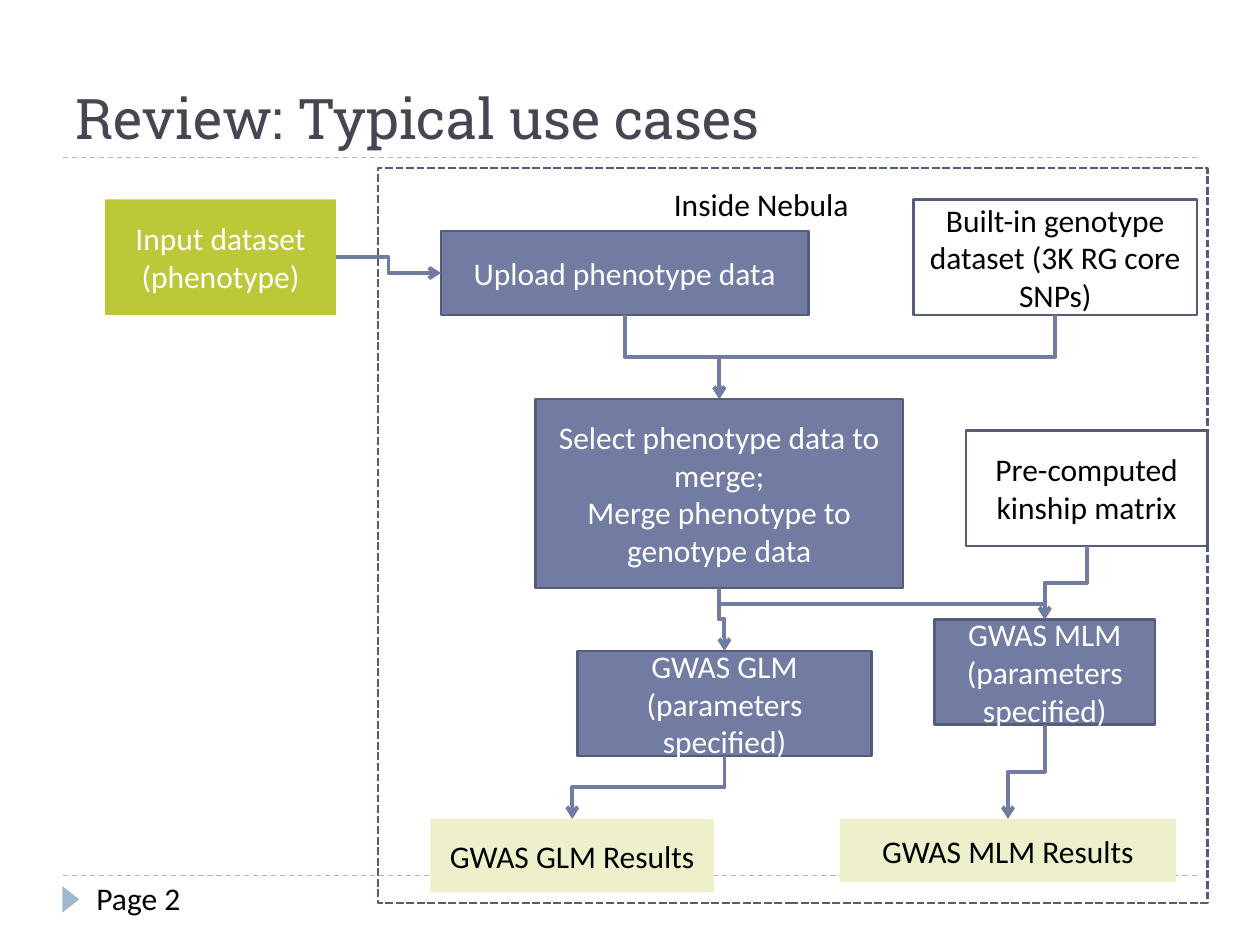
import pptx
import pptx.util
import pptx.dml.color
import pptx.enum.dml
import pptx.enum.shapes
import pptx.enum.text
import pptx.oxml
import pptx.oxml.ns

Pt = pptx.util.Pt
RGB = pptx.dml.color.RGBColor.from_string
SHAPE = pptx.enum.shapes.MSO_SHAPE
CONNECTOR = pptx.enum.shapes.MSO_CONNECTOR
ALIGN = pptx.enum.text.PP_ALIGN
ANCHOR = pptx.enum.text.MSO_ANCHOR
DASH = pptx.enum.dml.MSO_LINE

THEME = {
    "title": {"font": "Roboto Slab", "size": 32, "color": "464653"},
    "body": {"font": "Calibri", "size": 18},
    "rule": "9FB8CD", "edge": "545C79", "arrow": "727CA3",
    # box kind: fill, has an edge, text colour
    "input": ("BCC838", False, "FFFFFF"),
    "step": ("727CA3", True, "FFFFFF"),
    "data": ("FFFFFF", True, "000000"),
    "result": ("EDF0CA", False, "000000"),
}

deck = pptx.Presentation()
deck.slide_width, deck.slide_height = pptx.util.Inches(10), pptx.util.Inches(7.5)
page = deck.slides.add_slide(deck.slide_layouts[5])
# The page is a grid of 120 columns by 90 rows of square cells
CELL = deck.slide_width // 120


def write(frame, text, look, color, align, anchor):
    for name, value in {"word_wrap": True, "vertical_anchor": anchor}.items():
        setattr(frame, name, value)
    frame.text = text
    for para in frame.paragraphs:
        para.alignment = align
        for span in para.runs:
            for name, value in {"name": look["font"], "size": Pt(look["size"])}.items():
                setattr(span.font, name, value)
            span.font.color.rgb = RGB(color)


def add_line(kind, ends, color, width):
    line = page.shapes.add_connector(kind, *(round(CELL * end) for end in ends))
    line.line.color.rgb = RGB(color)
    line.line.width = Pt(width)
    line._element.spPr.append(pptx.oxml.parse_xml(
        "<a:effectLst %s/>" % pptx.oxml.ns.nsdecls("a")))
    return line


# Title
title = page.shapes.title
for name, value in {"left": 6, "top": 3, "width": 108, "height": 12}.items():
    setattr(title, name, value * CELL)
write(title.text_frame, "Review: Typical use cases", THEME["title"],
      THEME["title"]["color"], ALIGN.LEFT, ANCHOR.BOTTOM)

# Dashed rules and page marker
for row in (15, 83.4):
    rule = add_line(CONNECTOR.STRAIGHT, (6, row, 114, row), THEME["rule"], 0.75)
    rule.line.dash_style = DASH.DASH
marker = page.shapes.add_shape(SHAPE.ISOSCELES_TRIANGLE, *(
    round(CELL * length) for length in (5.5, 84.85, 2.5, 1.6)))
marker.rotation = 90
marker.shadow.inherit = False
marker.fill.solid()
marker.fill.fore_color.rgb = RGB(THEME["rule"])
marker.line.fill.background()

# Dashed frame around the platform
frame = page.shapes.add_shape(SHAPE.RECTANGLE, *(CELL * n for n in (36, 16, 79, 70)))
frame.shadow.inherit = False
frame.fill.background()
frame.line.color.rgb = RGB(THEME["edge"])
for name, value in {"width": Pt(1.5), "dash_style": DASH.SQUARE_DOT}.items():
    setattr(frame.line, name, value)

# Boxes: kind, text, column, row, columns wide, rows high
boxes = {}
for key, kind, text, *cells in (
    ("input", "input", "Input dataset (phenotype)", 10, 19, 22, 11),
    ("genotype", "data", "Built-in genotype dataset (3K RG core SNPs)", 87, 19, 27, 11),
    ("merge", "step", "Select phenotype data to merge;\nMerge phenotype to genotype data",
     51, 38, 35, 18),
    ("upload", "step", "Upload phenotype data", 42, 22, 35, 8),
    ("kinship", "data", "Pre-computed kinship matrix", 92, 41, 23, 11),
    ("glm", "step", "GWAS GLM (parameters specified)", 55, 62, 28, 10),
    ("mlm", "step", "GWAS MLM (parameters specified)", 89, 59, 21, 10),
    ("glm results", "result", "GWAS GLM Results", 41, 78, 27, 7),
    ("mlm results", "result", "GWAS MLM Results", 80, 78, 32, 6),
):
    fill, edged, color = THEME[kind]
    box = page.shapes.add_shape(SHAPE.RECTANGLE, *(CELL * cell for cell in cells))
    box.shadow.inherit = False
    box.fill.solid()
    box.fill.fore_color.rgb = RGB(fill)
    if edged:
        box.line.color.rgb = RGB(THEME["edge"])
        box.line.width = Pt(1.5)
    else:
        box.line.fill.background()
    write(box.text_frame, text, THEME["body"], color, ALIGN.CENTER, ANCHOR.MIDDLE)
    boxes[key] = box

# Elbow arrows; connection sites are 0 top, 1 left, 2 bottom, 3 right
for start, end in (
    ("input", "upload"), ("genotype", "merge"), ("kinship", "mlm"), ("merge", "mlm"),
    ("merge", "glm"), ("glm", "glm results"), ("mlm", "mlm results"), ("upload", "merge"),
):
    sideways = start == "input"
    arrow = add_line(CONNECTOR.ELBOW, (0, 0, 1, 1), THEME["arrow"], 2.25)
    arrow.begin_connect(boxes[start], 3 if sideways else 2)
    arrow.end_connect(boxes[end], 1 if sideways else 0)
    arrow.line._get_or_add_ln().append(pptx.oxml.parse_xml(
        '<a:tailEnd %s type="arrow"/>' % pptx.oxml.ns.nsdecls("a")))
    if sideways:
        continue
    # Turn downward arrows about their centre so they leave vertically
    across, down = arrow.end_x - arrow.begin_x, arrow.end_y - arrow.begin_y
    middle_x = (arrow.begin_x + arrow.end_x) // 2
    middle_y = (arrow.begin_y + arrow.end_y) // 2
    for name, value in {"left": middle_x - down // 2, "top": middle_y - abs(across) // 2,
                        "width": down, "height": abs(across)}.items():
        setattr(arrow, name, value)
    turn = {"rot": "16200000", "flipH": "1"} if across > 0 else {"rot": "5400000", "flipH": "0"}
    for name, value in turn.items():
        arrow._element.spPr.find(pptx.oxml.ns.qn("a:xfrm")).set(name, value)

# Free labels, each wide enough for one line
for text, *cells in (
    ("Inside Nebula", 63, 17, 23, 4.8),
    ("Page 2", 8, 83.1, 16, 4.8),
):
    label = page.shapes.add_textbox(*(round(CELL * cell) for cell in cells))
    write(label.text_frame, text, THEME["body"], "000000", ALIGN.LEFT, ANCHOR.TOP)

deck.save("out.pptx")
